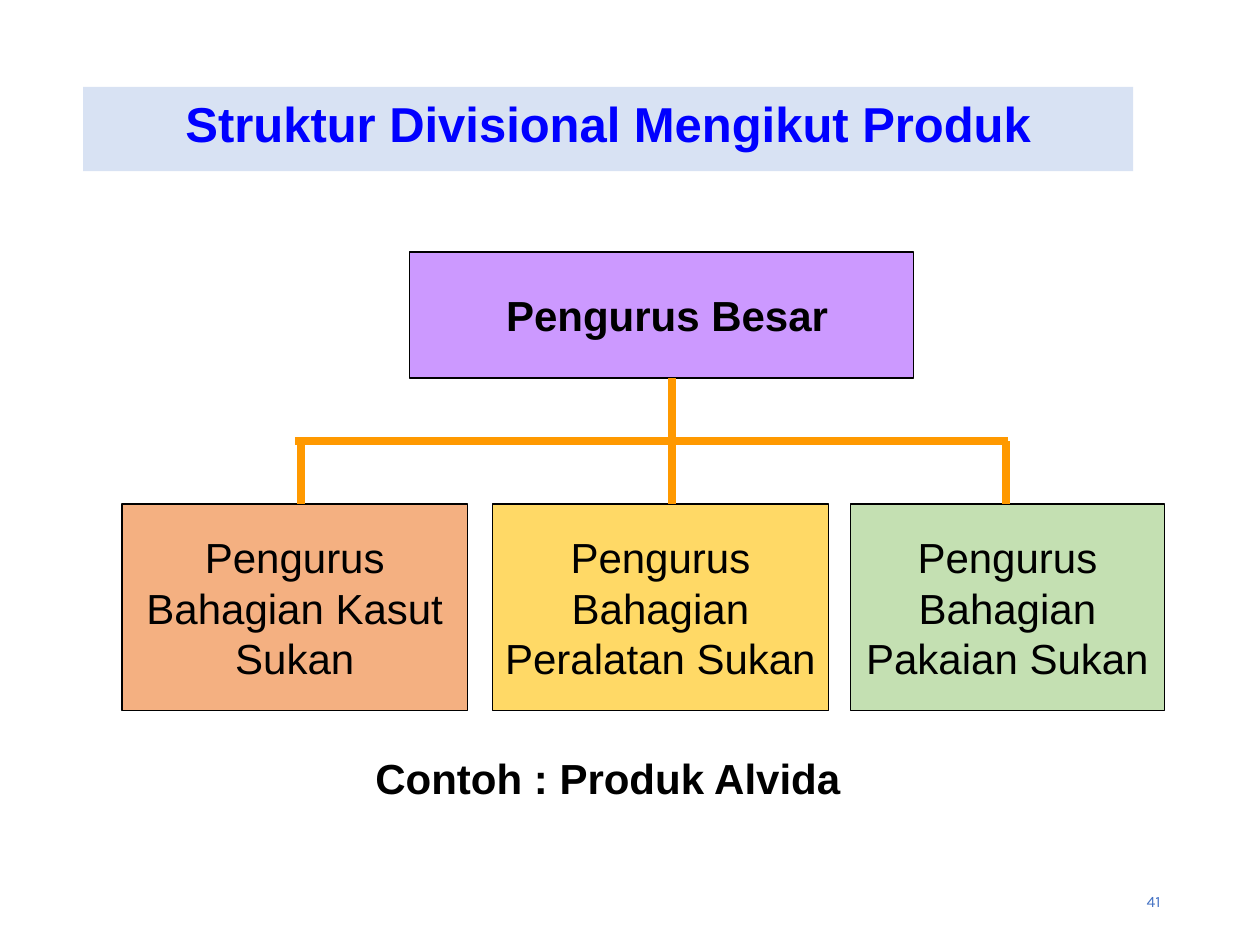
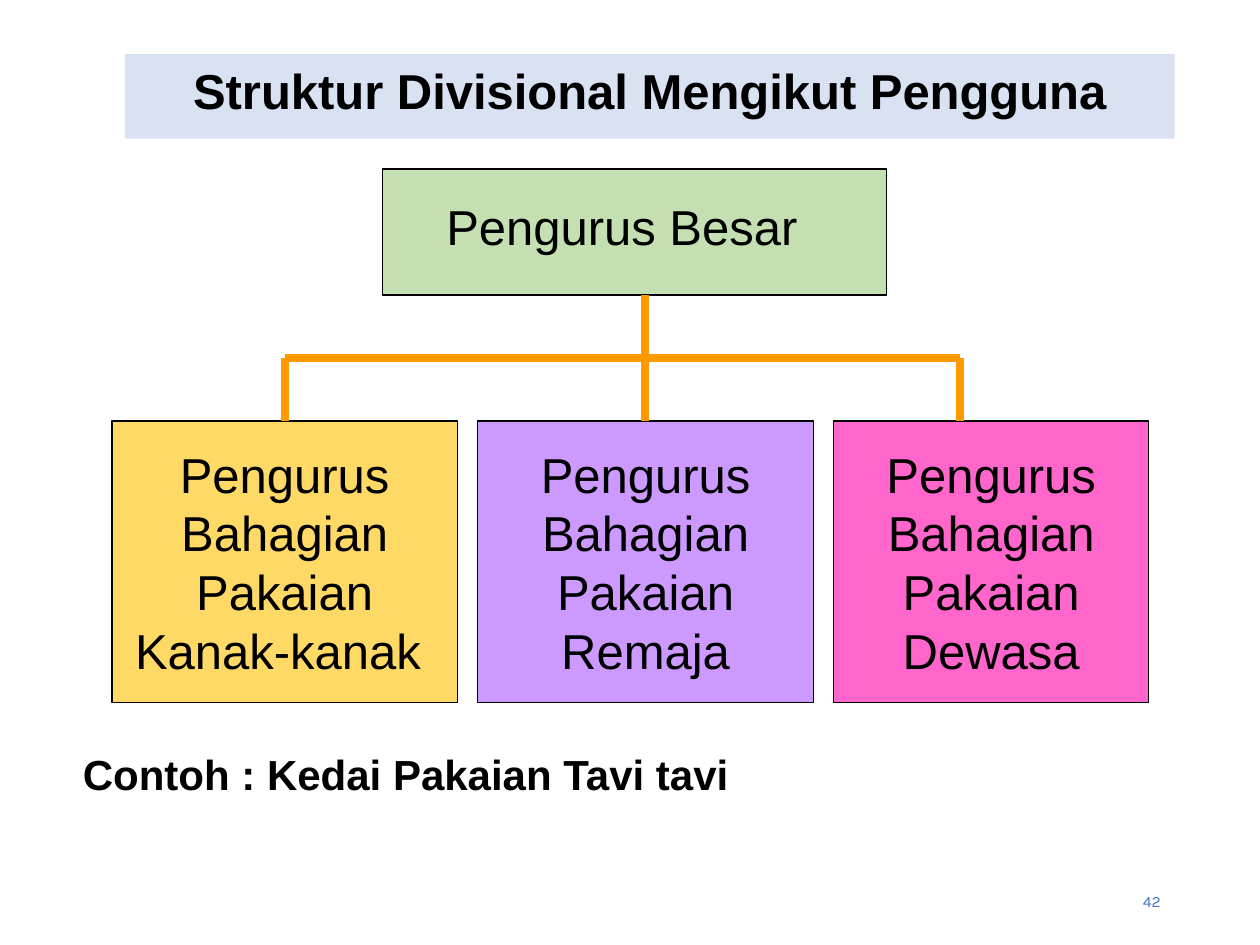
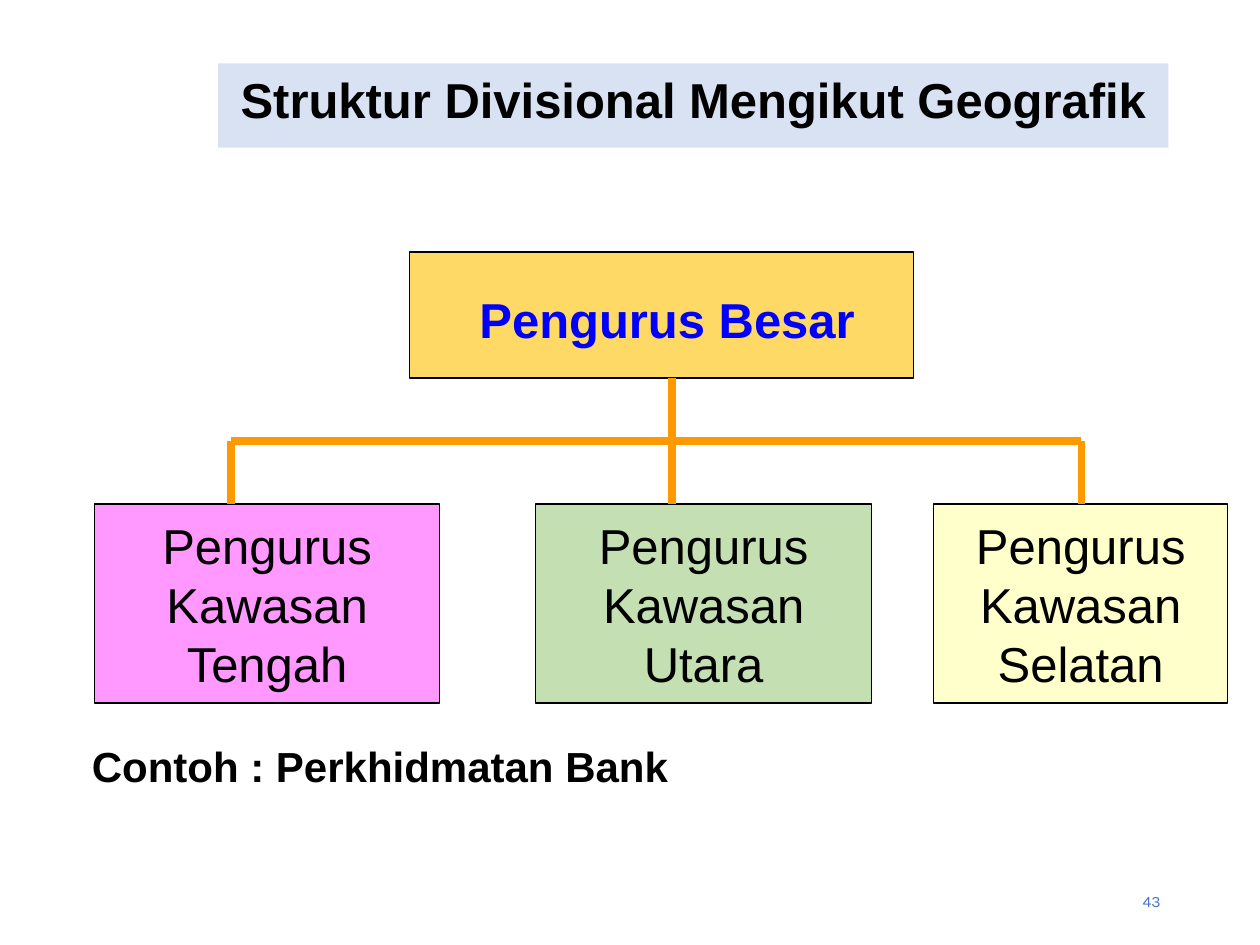
"""Builds three organisation-chart slides on divisional structures."""
import pptx
import pptx.dml.color
import pptx.enum.shapes
import pptx.enum.text
import pptx.oxml.ns
import pptx.util
from lxml import etree

Pt = pptx.util.Pt
ALIGN = pptx.enum.text.PP_ALIGN
ANCHOR = pptx.enum.text.MSO_ANCHOR

BLACK, BLUE, PAGE_BLUE = "000000", "0000FF", "4472C4"
BAND, ORANGE = "D8E2F3", "FF9900"
GREEN, GOLD, PURPLE = "C4E0B2", "FFD966", "CC99FF"
FIRST_PAGE = 41
HEAD_WIDTH, HEAD_HEIGHT, BAND_HEIGHT = 288, 72, 48.2
RAIL_GAP, DIVISION_GAP = 36, 72

CHARTS = [
    {
        "title": ("Struktur Divisional Mengikut Produk", BLUE, 47.5, 49.7, 600),
        "head": (234, 144, PURPLE),
        "head_label": (264.2, 162, 24, True, BLACK),
        "division_size": 24,
        "division_height": 118.1,
        "divisions": [
            ("Pengurus Bahagian Kasut Sukan", 69.8, 197.3, "F4B081", 172),
            ("Pengurus Bahagian Peralatan Sukan", 281.3, 192.2, GOLD, 384),
            ("Pengurus Bahagian Pakaian Sukan", 486, 179.3, GREEN, 575),
        ],
        "rail": (168.5, 576),
        "example": ("Contoh : Produk Alvida", 207.4, 426.2, 315),
    },
    {
        "title": ("Struktur Divisional Mengikut Pengguna", BLACK, 71.3, 31, 600),
        "head": (218.7, 96.6, GREEN),
        "head_label": (238.3, 108.7, 28, False, BLACK),
        "division_size": 28,
        "division_height": 160.8,
        "divisions": [
            ("Pengurus Bahagian Pakaian Kanak-kanak ", 64, 197.3, GOLD, 162.7),
            ("Pengurus Bahagian Pakaian Remaja", 272.8, 192.2, PURPLE, 368.6),
            ("Pengurus Bahagian Pakaian Dewasa", 476.4, 180, "FF66CC", 548.6),
        ],
        "rail": (162.7, 548.6),
        "example": ("Contoh : Kedai Pakaian Tavi tavi", 40.3, 424, 410),
    },
    {
        "title": ("Struktur Divisional Mengikut Geografik", BLACK, 124.7, 36.2, 543),
        "head": (234, 144, GOLD),
        "head_label": (264.2, 162, 28, True, BLUE),
        "division_size": 28,
        "division_height": 113.8,
        "divisions": [
            ("Pengurus Kawasan Tengah", 54, 197.3, "FF99FF", 132),
            ("Pengurus Kawasan Utara", 306, 192.2, GREEN, 384),
            ("Pengurus Kawasan Selatan", 533.5, 168, "FFFFCC", 618),
        ],
        "rail": (132, 618),
        "example": ("Contoh : Perkhidmatan Bank", 45.4, 419.8, 615),
    },
]


def rgb(value):
    return pptx.dml.color.RGBColor.from_string(value)


def write(shape, text, size, color=BLACK, bold=False, align=ALIGN.CENTER,
          anchor=ANCHOR.TOP, font="Arial"):
    frame = shape.text_frame
    frame.text = text
    frame.word_wrap = True
    frame.vertical_anchor = anchor
    para = frame.paragraphs[0]
    para.alignment = align
    span = para.runs[0]
    span.font.name = font
    span.font.size = Pt(size)
    span.font.bold = bold
    span.font.color.rgb = rgb(color)


def add_box(page, left, top, width, height, fill, outlined=True):
    box = page.shapes.add_shape(pptx.enum.shapes.MSO_SHAPE.RECTANGLE,
                                Pt(left), Pt(top), Pt(width), Pt(height))
    box.shadow.inherit = False
    box.fill.solid()
    box.fill.fore_color.rgb = rgb(fill)
    if outlined:
        box.line.color.rgb = rgb(BLACK)
        box.line.width = Pt(0.75)
    else:
        box.line.fill.background()
    return box


def add_label(page, left, top, width, height, text, size, **style):
    label = page.shapes.add_textbox(Pt(left), Pt(top), Pt(width), Pt(height))
    write(label, text, size, **style)


def add_line(page, start_x, start_y, end_x, end_y):
    line = page.shapes.add_connector(pptx.enum.shapes.MSO_CONNECTOR.STRAIGHT,
                                     Pt(start_x), Pt(start_y), Pt(end_x), Pt(end_y))
    line.line.color.rgb = rgb(ORANGE)
    line.line.width = Pt(4.5)
    etree.SubElement(line._element.spPr, pptx.oxml.ns.qn("a:effectLst"))


def add_chart_page(deck, number, chart):
    page = deck.slides.add_slide(deck.slide_layouts[6])

    title, color, left, top, width = chart["title"]
    band = add_box(page, left, top, width, BAND_HEIGHT, BAND, outlined=False)
    write(band, title, 28, color, bold=True)

    head_left, head_top, head_fill = chart["head"]
    add_box(page, head_left, head_top, HEAD_WIDTH, HEAD_HEIGHT, head_fill)
    left, top, size, bold, color = chart["head_label"]
    add_label(page, left, top, 234, 36, "Pengurus Besar", size, bold=bold, color=color)

    head_bottom = head_top + HEAD_HEIGHT
    rail_y = head_bottom + RAIL_GAP
    division_top = head_bottom + DIVISION_GAP
    for text, left, width, fill, drop_x in chart["divisions"]:
        box = add_box(page, left, division_top, width, chart["division_height"], fill)
        write(box, text, chart["division_size"], anchor=ANCHOR.MIDDLE)
        add_line(page, drop_x, rail_y, drop_x, division_top)
    stem_x = chart["divisions"][1][-1]
    add_line(page, stem_x, head_bottom, stem_x, rail_y)
    rail_start, rail_end = chart["rail"]
    add_line(page, rail_start, rail_y, rail_end, rail_y)

    text, left, top, width = chart["example"]
    add_label(page, left, top, width, 32, text, 24, bold=True, align=ALIGN.LEFT)
    add_label(page, 508.3, 500.4, 162, 28.8, str(number), 9, color=PAGE_BLUE,
              align=ALIGN.RIGHT, anchor=ANCHOR.MIDDLE, font="Karla")


def main():
    deck = pptx.Presentation()
    deck.slide_width, deck.slide_height = Pt(720), Pt(540)
    for number, chart in enumerate(CHARTS, FIRST_PAGE):
        add_chart_page(deck, number, chart)
    deck.save("out.pptx")


if __name__ == "__main__":
    main()
